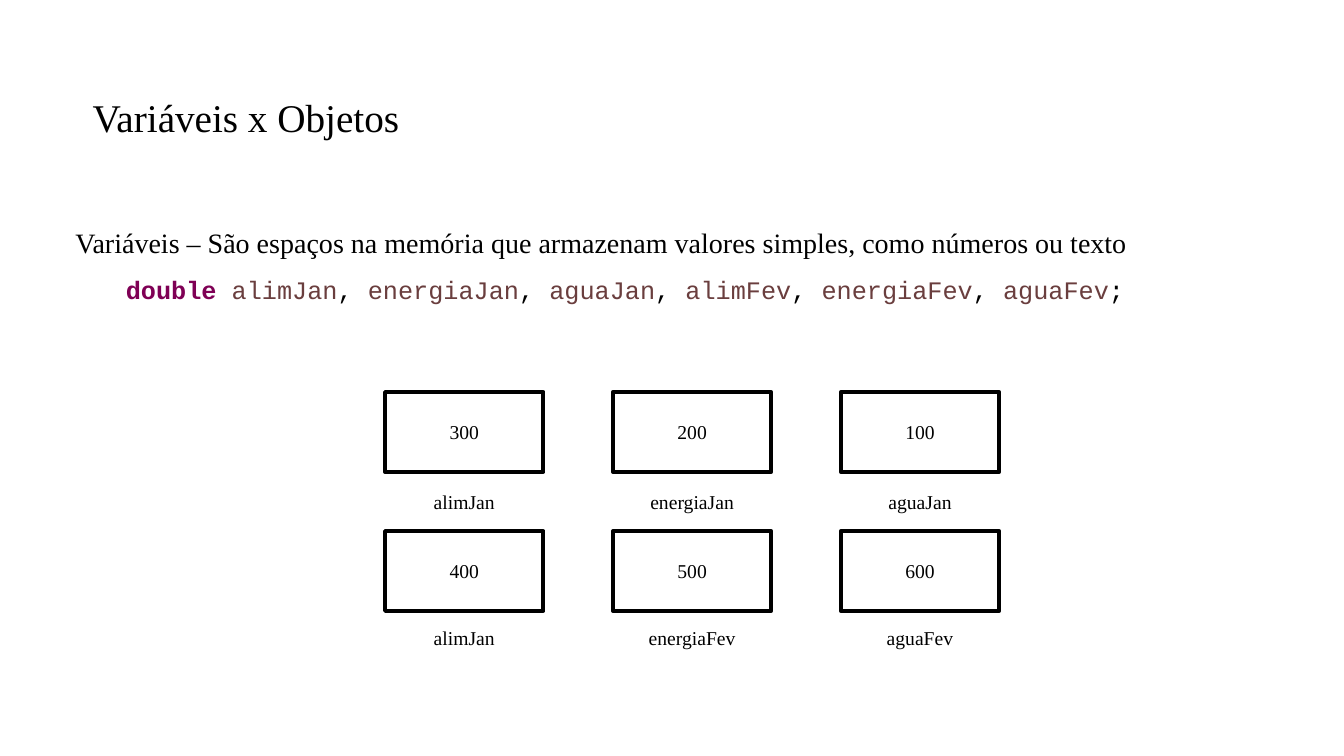
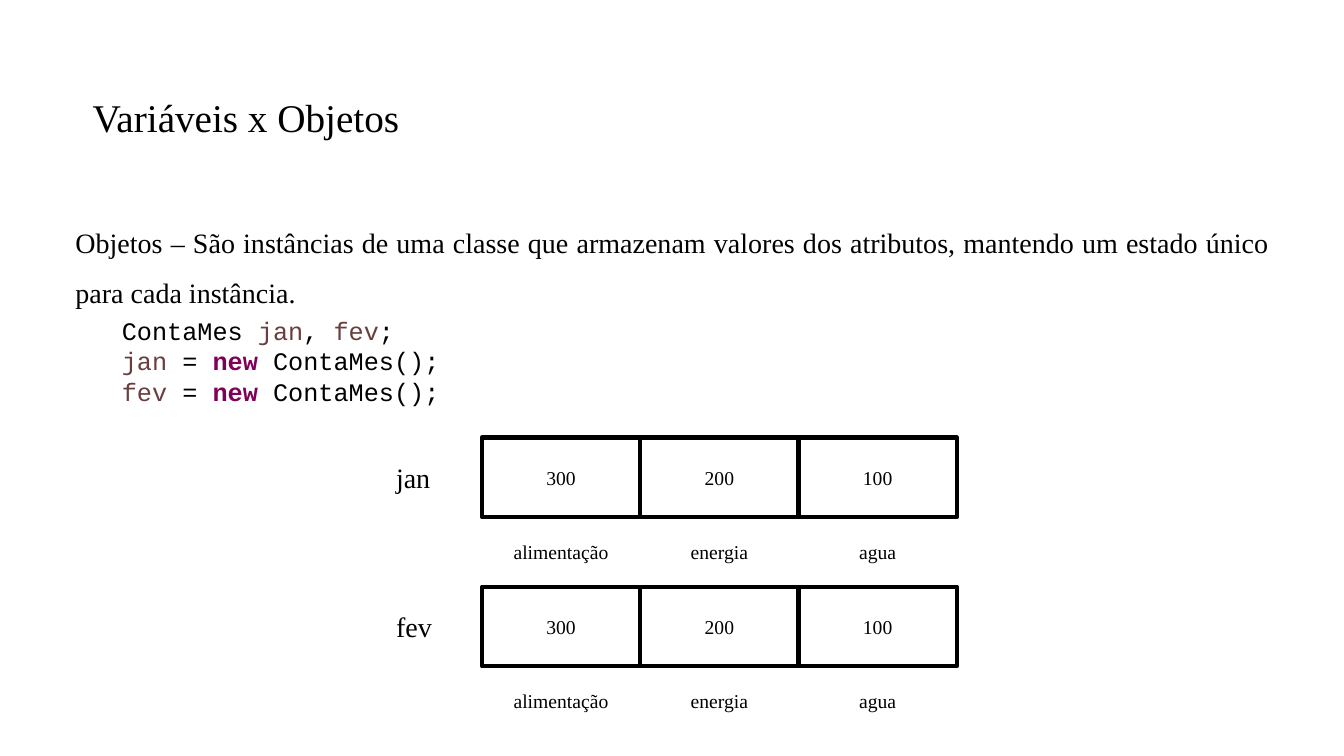
"""Build two slides that compare variables with objects."""
from dataclasses import dataclass

from pptx import Presentation
from pptx.dml.color import RGBColor
from pptx.enum.shapes import MSO_SHAPE
from pptx.enum.text import MSO_ANCHOR, MSO_AUTO_SIZE, PP_ALIGN
from pptx.util import Inches, Pt


@dataclass(frozen=True)
class Theme:
    """Colours, fonts, type sizes and shared lengths."""
    ink: RGBColor = RGBColor(0x00, 0x00, 0x00)
    key: RGBColor = RGBColor(0x7F, 0x00, 0x55)
    name: RGBColor = RGBColor(0x6A, 0x3E, 0x3E)
    serif: str = "Times New Roman"
    mono: str = "Courier New"
    head: int = 28
    body: int = 20
    code: int = 18
    cell: int = 14
    wide: float = 1.57
    high: float = 0.79
    border: int = 3


THEME = Theme()
WORDS = {"double", "new"}


def style(run, size, color=THEME.ink, font=THEME.serif, bold=False):
    """Set the look of one run."""
    run.font.size = Pt(size)
    run.font.name = font
    run.font.color.rgb = color
    run.font.bold = bold


def write(frame, text, size, align=PP_ALIGN.LEFT):
    """Put one styled paragraph in a frame and return it."""
    frame.text = text
    para = frame.paragraphs[0]
    para.alignment = align
    style(para.runs[0], size)
    return para


def box(shapes, left, top, width, height, wrap=True):
    """Add an empty text box and return its frame."""
    area = [Inches(n) for n in (left, top, width, height)]
    frame = shapes.add_textbox(*area).text_frame
    frame.word_wrap = wrap
    frame.auto_size = MSO_AUTO_SIZE.NONE
    return frame


def title(shapes, text):
    """Add the slide title."""
    frame = box(shapes, 0.82, 0.93, 10.29, 0.49)
    write(frame, text, THEME.head).line_spacing = 0.9


def intro(shapes, text, height):
    """Add the justified definition and return its frame."""
    frame = box(shapes, 0.65, 2.02, 12.04, height)
    para = write(frame, text, THEME.body, PP_ALIGN.JUSTIFY)
    para.line_spacing = 1.5
    para.space_before = Pt(10)
    return frame


def code(para, line):
    """Fill an indented paragraph with code parts split by bars."""
    para._p.get_or_add_pPr().set("indent", str(Inches(0.5)))
    for part in line.split("|"):
        run = para.add_run()
        run.text = part
        bold = part.strip() in WORDS
        plain = THEME.name if part.isidentifier() else THEME.ink
        style(run, THEME.code, THEME.key if bold else plain, THEME.mono, bold)


def cell(shapes, left, top, text):
    """Add an outlined memory cell with its value."""
    area = [Inches(n) for n in (left, top, THEME.wide, THEME.high)]
    shape = shapes.add_shape(MSO_SHAPE.RECTANGLE, *area)
    shape.shadow.inherit = False
    shape.fill.background()
    shape.line.color.rgb = THEME.ink
    shape.line.width = Pt(THEME.border)
    shape.text_frame.vertical_anchor = MSO_ANCHOR.MIDDLE
    write(shape.text_frame, text, THEME.cell, PP_ALIGN.CENTER)


def label(shapes, left, top, text):
    """Add a centred caption as wide as a cell."""
    frame = box(shapes, left, top, THEME.wide, 0.34)
    write(frame, text, THEME.cell, PP_ALIGN.CENTER)


def row(draw, shapes, left, top, texts, gap=0.0):
    """Draw one element per text at an equal step."""
    for col, text in enumerate(texts):
        draw(shapes, left + col * (THEME.wide + gap), top, text)


def values(shapes):
    """Build the slide on variables."""
    title(shapes, "Variáveis x Objetos")
    frame = intro(shapes, "Variáveis – São espaços na memória que armazenam "
                  "valores simples, como números ou texto", 1.19)
    names = ["alimJan", "energiaJan", "aguaJan",
             "alimFev", "energiaFev", "aguaFev"]
    para = frame.add_paragraph()
    para.alignment = PP_ALIGN.JUSTIFY
    para.line_spacing = 1.5
    code(para, "double |" + "|, |".join(names) + "|;")
    rows = [(3.89, ["300", "200", "100"], 4.81, names[:3]),
            (5.27, ["400", "500", "600"], 6.16, ["alimJan"] + names[4:])]
    for top, nums, base, tags in rows:
        row(cell, shapes, 3.82, top, nums, 0.69)
        row(label, shapes, 3.82, base, tags, 0.69)


def objects(shapes):
    """Build the slide on objects."""
    title(shapes, "Variáveis x Objetos")
    intro(shapes, "Objetos – São instâncias de uma classe que armazenam "
          "valores dos atributos, mantendo um estado único para cada "
          "instância.", 1.73)
    months = ["jan", "fev"]
    lines = ["ContaMes |" + "|, |".join(months) + "|;"]
    lines += [f"{month}| = |new |ContaMes();" for month in months]
    frame = box(shapes, 0.61, 3.08, 6.67, 1.01)
    for num, line in enumerate(lines):
        code(frame.add_paragraph() if num else frame.paragraphs[0], line)
    for num, month in enumerate(months):
        top = 4.34 + num * 1.48
        group = shapes.add_group_shape().shapes
        row(cell, group, 4.78, top, ["300", "200", "100"])
        write(box(group, 3.83, top + 0.18, 0.56, 0.44, False),
              month, THEME.body)
        tags = shapes.add_group_shape().shapes
        row(label, tags, 4.78, top + 0.97, ["alimentação", "energia", "agua"])


def main():
    """Build and save the deck."""
    deck = Presentation()
    deck.slide_width = Inches(13.33)
    deck.slide_height = Inches(7.5)
    for build in (values, objects):
        build(deck.slides.add_slide(deck.slide_layouts[6]).shapes)
    deck.save("out.pptx")


if __name__ == "__main__":
    main()
